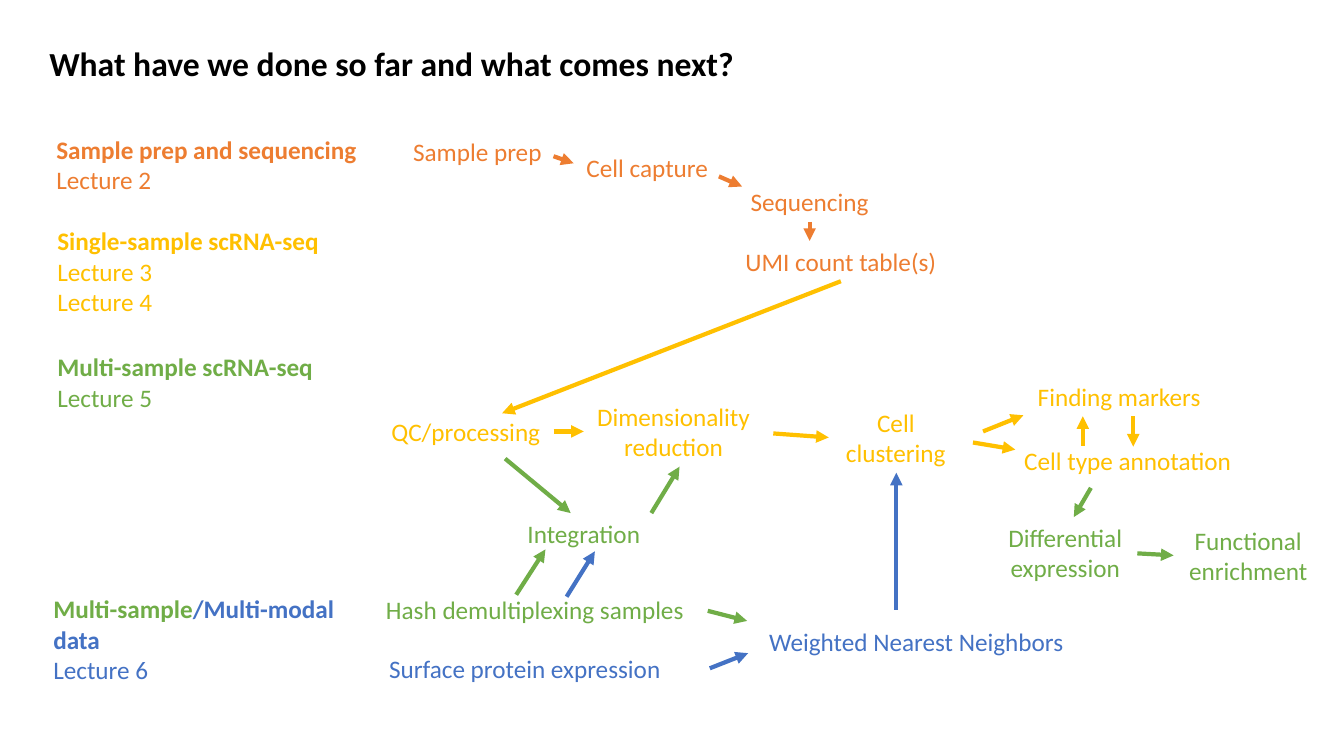
from pptx import Presentation
from pptx.dml.color import RGBColor
from pptx.enum.shapes import MSO_CONNECTOR as Link
from pptx.enum.text import MSO_AUTO_SIZE as Fit, PP_ALIGN as Align
from pptx.oxml.ns import qn
from pptx.util import Inches, Pt
from lxml.etree import SubElement as Sub

BLACK = RGBColor(0x00, 0x00, 0x00)
ORANGE = RGBColor(0xED, 0x7D, 0x31)
GOLD = RGBColor(0xFF, 0xC0, 0x00)
GREEN = RGBColor(0x70, 0xAD, 0x47)
BLUE = RGBColor(0x44, 0x72, 0xC4)

TITLE = "What have we done so far and what comes next?"

TOPICS = [
    ([("Sample prep and sequencing", ORANGE)], ["Lecture 2"], (0.46, 1.28, 3.29, 0.71)),
    ([("Single-sample scRNA-seq", GOLD)], ["Lecture 3", "Lecture 4"], (0.47, 2.19, 3.06, 1.01)),
    ([("Multi-sample scRNA-seq", GREEN)], ["Lecture 5"], (0.47, 3.44, 3.01, 0.71)),
    ([("Multi-sample", GREEN), ("/Multi-modal data", BLUE)], ["Lecture 6"],
     (0.43, 5.84, 3.01, 1.01)),
]

STEPS = [
    ("Sample prep", ORANGE, (3.67, 1.3, 2.13, 0.4)),
    ("Cell capture", ORANGE, (5.63, 1.46, 1.58, 0.4)),
    ("Sequencing", ORANGE, (7.29, 1.8, 1.48, 0.4)),
    ("UMI count table(s)", ORANGE, (7.25, 2.39, 2.18, 0.4)),
    ("QC/processing", GOLD, (3.76, 4.08, 1.72, 0.4)),
    ("Dimensionality reduction", GOLD, (5.79, 3.93, 1.78, 0.71)),
    ("Cell clustering", GOLD, (8.22, 3.99, 1.33, 0.71)),
    ("Finding markers", GOLD, (10.1, 3.73, 2, 0.4)),
    ("Cell type annotation", GOLD, (10.03, 4.37, 2.31, 0.4)),
    ("Integration", GREEN, (5.12, 5.09, 1.34, 0.4)),
    ("Differential expression", GREEN, (9.89, 5.13, 1.35, 0.71)),
    ("Functional enrichment", GREEN, (11.64, 5.16, 1.48, 0.71)),
]

INPUTS = [
    ("Hash demultiplexing samples", GREEN, (3.73, 5.85, 3.19, 0.4)),
    ("Surface protein expression", BLUE, (3.76, 6.43, 2.92, 0.4)),
    ("Weighted Nearest Neighbors", BLUE, (7.53, 6.16, 3.16, 0.4)),
]

ARROWS = {
    ORANGE: [
        (5.49, 1.55, 5.69, 1.62),
        (7.13, 1.75, 7.36, 1.85),
        (8.03, 2.2, 8.03, 2.39),
    ],
    GOLD: [
        (8.34, 2.79, 4.98, 4.1),
        (5.49, 4.28, 5.79, 4.28),
        (7.67, 4.3, 8.22, 4.34),
        (9.75, 4.28, 10.15, 4.12),
        (9.65, 4.39, 10.07, 4.46),
        (10.74, 4.42, 10.74, 4.13),
        (11.24, 4.13, 11.24, 4.43),
    ],
    GREEN: [
        (5.01, 4.55, 5.66, 5.09),
        (6.46, 5.09, 6.74, 4.63),
        (10.82, 4.84, 10.65, 5.13),
        (11.28, 5.49, 11.64, 5.51),
        (5.12, 5.9, 5.41, 5.45),
        (7.02, 6.06, 7.41, 6.16),
    ],
    BLUE: [
        (5.62, 5.92, 5.9, 5.47),
        (7.04, 6.63, 7.42, 6.48),
        (8.89, 6.05, 8.89, 4.69),
    ],
}


def write(slide, lines, at, size=18, align=Align.LEFT, wrap=True):
    box = slide.shapes.add_textbox(*map(Inches, at))
    frame = box.text_frame
    frame.word_wrap = wrap
    frame.auto_size = Fit.SHAPE_TO_FIT_TEXT
    for i, line in enumerate(lines):
        para = frame.add_paragraph() if i else frame.paragraphs[0]
        para.alignment = align
        for text, color, bold in line:
            run = para.add_run()
            run.text = text
            run.font.name = "Calibri"
            run.font.size = Pt(size)
            run.font.bold = bold
            run.font.color.rgb = color


def arrow(slide, ends, color):
    link = slide.shapes.add_connector(Link.STRAIGHT, *map(Inches, ends))
    link.line.color.rgb = color
    link.line.width = Pt(3)
    Sub(link.line._get_or_add_ln(), qn("a:tailEnd"), type="triangle")
    Sub(link._element.spPr, qn("a:effectLst"))


def main():
    deck = Presentation()
    deck.slide_width, deck.slide_height = Inches(13.33), Inches(7.5)
    slide = deck.slides.add_slide(deck.slide_layouts[6])

    write(slide, [[(TITLE, BLACK, True)]], (0.39, 0.38, 8.32, 0.5), size=24)
    for heads, notes, at in TOPICS:
        last = heads[-1][1]
        lines = [[(text, color, True) for text, color in heads]]
        lines += [[(text, last, False)] for text in notes]
        write(slide, lines, at)
    for text, color, at in STEPS:
        write(slide, [[(text, color, False)]], at, align=Align.CENTER)
    for text, color, at in INPUTS:
        write(slide, [[(text, color, False)]], at, wrap=False)
    for color, links in ARROWS.items():
        for ends in links:
            arrow(slide, ends, color)

    deck.save("out.pptx")


if __name__ == "__main__":
    main()
